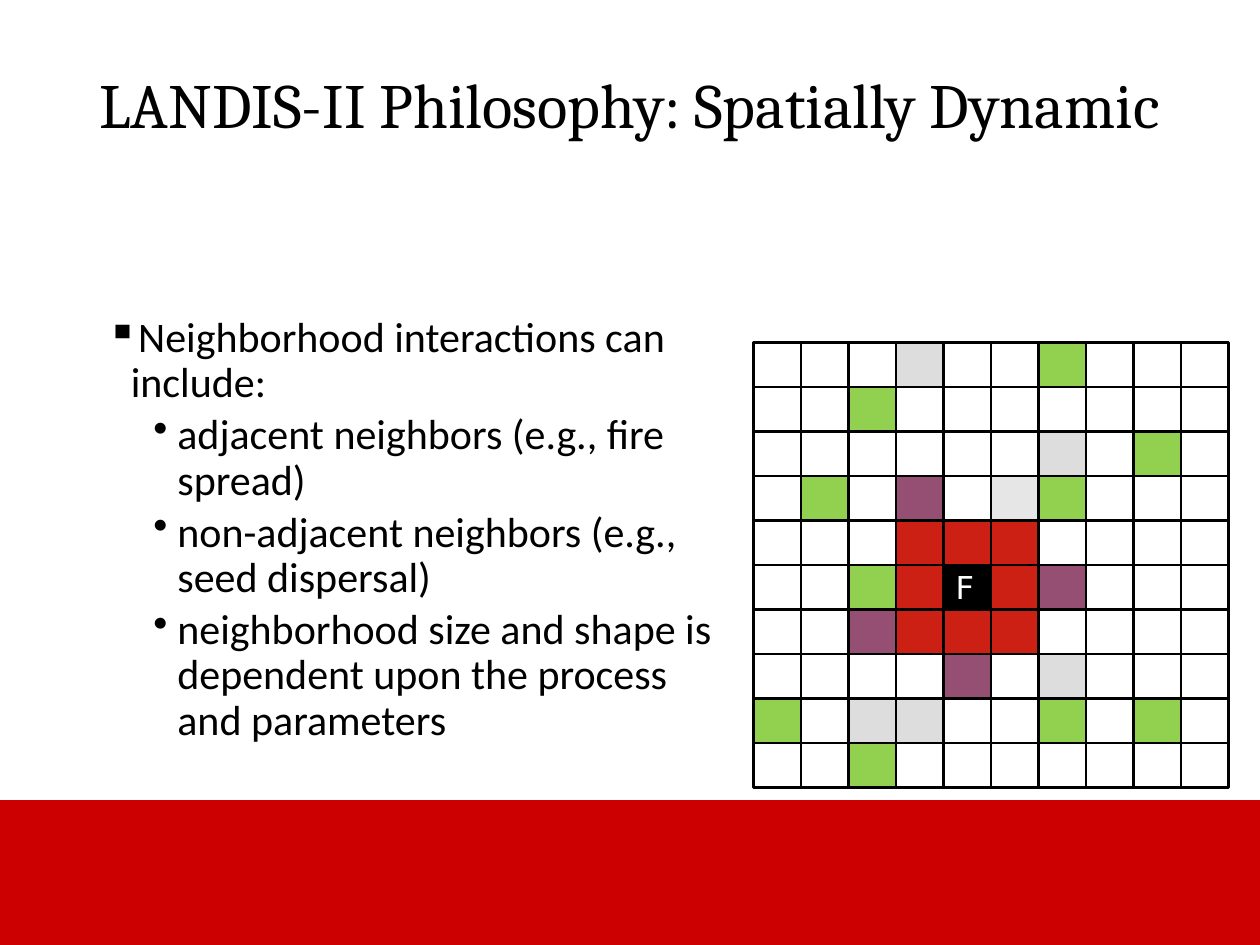
import dataclasses
import typing

import lxml.etree
import pptx
import pptx.dml.color
import pptx.enum.shapes
import pptx.enum.text
import pptx.oxml.ns
import pptx.util

Inches = pptx.util.Inches
Pt = pptx.util.Pt
ANCHOR = pptx.enum.text.MSO_ANCHOR
ALIGN = pptx.enum.text.PP_ALIGN

COLORS = {
    "white": "FFFFFF",
    "black": "000000",
    "band": "CC0000",
    "green": "92D050",
    "gray": "DDDDDD",
    "light gray": "E7E6E6",
    "purple": "954F72",
    "red": "CB2013",
}

CELL_CODES = {
    ".": "white",
    "g": "green",
    "d": "gray",
    "l": "light gray",
    "p": "purple",
    "r": "red",
    "F": "black",
}

LANDSCAPE = [
    "...d..g...",
    "..g.......",
    "......d.g.",
    ".g.p.lg...",
    "...rrr....",
    "..grFrp...",
    "..prrr....",
    "....p.d...",
    "g.dd..g.g.",
    "..g.......",
]


@dataclasses.dataclass(frozen=True)
class Box:
    left: float
    top: float
    width: float
    height: float

    def lengths(self) -> tuple[pptx.util.Length, ...]:
        return tuple(Inches(value) for value in dataclasses.astuple(self))


@dataclasses.dataclass(frozen=True)
class Bullet:
    char: str
    level: int
    indent: float
    space_before: float


@dataclasses.dataclass(frozen=True)
class Line:
    text: str
    bullet: typing.Optional[Bullet] = None


def rgb(color: str) -> pptx.dml.color.RGBColor:
    return pptx.dml.color.RGBColor.from_string(COLORS[color])


def add_rect(shapes, box: Box, fill: str, line: str, line_width: float) -> None:
    rect = shapes.add_shape(pptx.enum.shapes.MSO_SHAPE.RECTANGLE, *box.lengths())
    rect.shadow.inherit = False
    rect.fill.solid()
    rect.fill.fore_color.rgb = rgb(fill)
    rect.line.color.rgb = rgb(line)
    rect.line.width = Pt(line_width)


def set_bullet(paragraph, bullet: Bullet) -> None:
    paragraph.level = bullet.level
    properties = paragraph._p.get_or_add_pPr()
    properties.set("marL", str(Inches(bullet.indent)))
    properties.set("indent", str(Inches(-0.19)))
    mark = lxml.etree.SubElement(properties, pptx.oxml.ns.qn("a:buChar"))
    mark.set("char", bullet.char)


def add_text(
    shapes,
    box: Box,
    lines: list[Line],
    *,
    font: str,
    size: float,
    color: str = "black",
    anchor: ANCHOR = ANCHOR.TOP,
    align: ALIGN = ALIGN.LEFT,
    line_spacing: float = 1.0,
) -> None:
    frame = shapes.add_textbox(*box.lengths()).text_frame
    frame.word_wrap = True
    frame.vertical_anchor = anchor
    for index, line in enumerate(lines):
        paragraph = frame.add_paragraph() if index else frame.paragraphs[0]
        paragraph.alignment = align
        paragraph.line_spacing = line_spacing
        if line.bullet:
            if index:
                paragraph.space_before = Pt(line.bullet.space_before)
            set_bullet(paragraph, line.bullet)
        run = paragraph.add_run()
        run.text = line.text
        run.font.name = font
        run.font.size = Pt(size)
        run.font.color.rgb = rgb(color)


def add_landscape(shapes, area: Box) -> None:
    width = area.width / len(LANDSCAPE[0])
    height = area.height / len(LANDSCAPE)
    for row, codes in enumerate(LANDSCAPE):
        for column, code in enumerate(codes):
            cell = Box(area.left + column * width, area.top + row * height, width, height)
            add_rect(shapes, cell, CELL_CODES[code], "black", 1.5)


def main() -> None:
    presentation = pptx.Presentation()
    presentation.slide_width = Inches(10)
    presentation.slide_height = Inches(7.5)
    slide = presentation.slides.add_slide(presentation.slide_layouts[6])

    add_rect(slide.shapes, Box(0, 6.36, 10.02, 1.14), "band", "band", 1)
    add_text(
        slide.shapes,
        Box(0.69, 0.13, 8.62, 1.45),
        [Line("LANDIS-II Philosophy: Spatially Dynamic")],
        font="Cambria",
        size=36,
        anchor=ANCHOR.MIDDLE,
        line_spacing=0.9,
    )

    topic = Bullet("▪", 0, 0.19, 7.5)
    example = Bullet("•", 1, 0.56, 3.8)
    interactions = [
        Line("Neighborhood interactions can include:", topic),
        Line("adjacent neighbors (e.g., fire spread)", example),
        Line("non-adjacent neighbors (e.g., seed dispersal)", example),
        Line("neighborhood size and shape is dependent upon the process and parameters", example),
    ]
    add_text(
        slide.shapes,
        Box(0.75, 2.46, 5.04, 4.5),
        interactions,
        font="Calibri",
        size=24,
        line_spacing=0.9,
    )

    landscape = slide.shapes.add_group_shape()
    add_landscape(landscape.shapes, Box(5.98, 2.72, 3.77, 3.53))
    add_text(
        landscape.shapes,
        Box(7.43, 4.46, 0.45, 0.4),
        [Line("F")],
        font="DejaVu Sans Mono",
        size=18,
        color="white",
        align=ALIGN.CENTER,
    )

    presentation.save("out.pptx")


if __name__ == "__main__":
    main()
